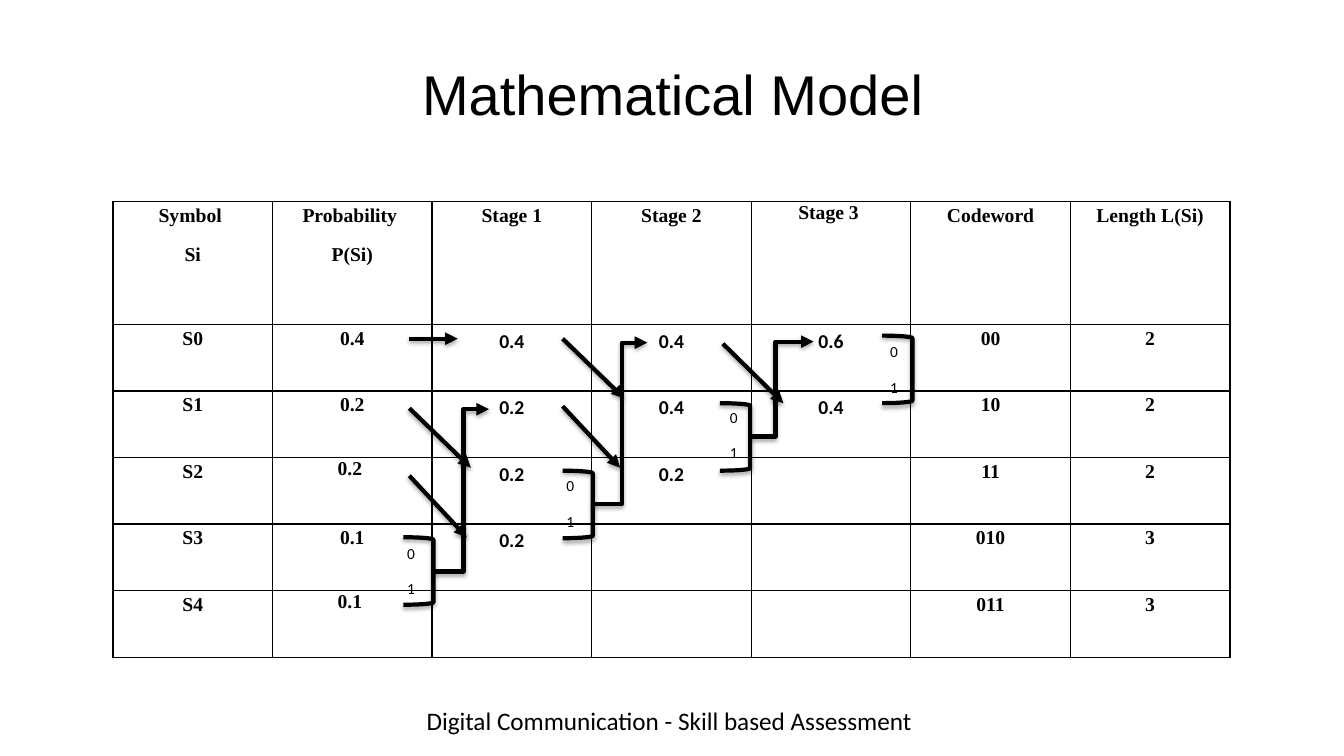
from dataclasses import dataclass
from lxml.etree import SubElement
from pptx import Presentation
from pptx.dml.color import RGBColor
from pptx.enum.shapes import MSO_CONNECTOR, MSO_SHAPE
from pptx.enum.text import MSO_ANCHOR, PP_ALIGN
from pptx.oxml import parse_xml
from pptx.oxml.ns import nsdecls, qn
from pptx.util import Inches, Pt

COLORS = {"ink": "000000"}
INK = RGBColor.from_string(COLORS["ink"])
SERIF = "Times New Roman"


@dataclass
class Label:
    text: str
    left: float
    top: float
    width: float
    height: float
    size: int
    font: str = "Calibri"
    align: PP_ALIGN = PP_ALIGN.CENTER
    anchor: MSO_ANCHOR = MSO_ANCHOR.TOP
    space: float = 1.0
    after: int = 0


@dataclass
class Merge:
    """Bracket with the place of its bit labels."""
    left: float
    top: float
    bit_left: float
    bit_top: float


@dataclass
class Arrow:
    x1: float
    y1: float
    x2: float
    y2: float
    bend: float | None = None


LABELS = [
    Label("Mathematical Model", 0.67, 0.3, 12, 1.25, 40, "Arial",
          anchor=MSO_ANCHOR.MIDDLE),
    Label("Digital Communication - Skill based Assessment ",
          3.82, 6.95, 5.69, 0.55, 18),
]
ROWS = [
    ["Symbol \nSi", "Probability \nP(Si)", "Stage 1", "Stage 2", "Stage 3 ",
     "Codeword", "Length L(Si)"],
    ["S0", "0.4", "0.4", "0.4", "0.6", "00", "2"],
    ["S1", "0.2", "0.2", "0.4", "0.4", "10", "2"],
    ["S2", "0.2 ", "0.2", "0.2", "", "11", "2"],
    ["S3", "0.1", "0.2", "", "", "010", "3"],
    ["S4", "0.1 ", "", "", "", "011", "3"],
]
MERGES = [
    Merge(4, 5.33, 3.94, 5.32),
    Merge(5.58, 4.67, 5.52, 4.65),
    Merge(7.14, 4, 7.14, 3.97),
    Merge(8.75, 3.33, 8.73, 3.32),
]
ARROWS = [
    Arrow(4.06, 3.36, 4.54, 3.36),
    Arrow(4.06, 4.72, 4.63, 5.33),
    Arrow(4.06, 4.05, 4.67, 4.64),
    Arrow(5.58, 4.03, 6.15, 4.64),
    Arrow(5.58, 3.36, 6.19, 3.95),
    Arrow(7.17, 3.41, 7.77, 4),
    Arrow(4.3, 5.67, 4.85, 4.06, 0.54),
    Arrow(5.87, 5, 6.42, 3.4, 0.54),
    Arrow(7.45, 4.33, 8.07, 3.39, 0.39),
]


def style(para, size: int, font: str, align: PP_ALIGN, bold: bool = False) -> None:
    para.alignment = align
    para.font.size = Pt(size)
    para.font.name = font
    para.font.bold = bold
    para.font.color.rgb = INK


def add_label(slide, item: Label) -> None:
    box = slide.shapes.add_textbox(Inches(item.left), Inches(item.top),
                                   Inches(item.width), Inches(item.height))
    frame = box.text_frame
    frame.word_wrap = True
    frame.vertical_anchor = item.anchor
    para = frame.paragraphs[0]
    para.text = item.text
    para.line_spacing = item.space
    para.space_after = Pt(item.after)
    style(para, item.size, item.font, item.align)


def add_borders(cell) -> None:
    props = cell._tc.get_or_add_tcPr()
    for spot, side in enumerate("LRTB"):
        props.insert(spot, parse_xml(
            f'<a:ln{side} {nsdecls("a")} w="12700"><a:solidFill>'
            f'<a:srgbClr val="{COLORS["ink"]}"/></a:solidFill></a:ln{side}>'))


def fill_cell(cell, text: str, stage: bool) -> None:
    cell.fill.background()
    add_borders(cell)
    cell.text = text
    if not stage:
        cell.margin_left = cell.margin_right = Inches(0.07)
        cell.margin_top = cell.margin_bottom = 0
    for para in cell.text_frame.paragraphs:
        style(para, 14, "Calibri" if stage else SERIF, PP_ALIGN.CENTER, True)
        if not stage and not text.endswith(" "):
            para.line_spacing = 1.15
            para.space_after = Pt(10)


def add_grid(slide) -> None:
    table = slide.shapes.add_table(len(ROWS), len(ROWS[0]), Inches(1.12), Inches(2),
                                   Inches(11.08), Inches(4.5)).table
    table.first_row = table.horz_banding = False
    for r, texts in enumerate(ROWS):
        table.rows[r].height = Inches(0.66 if r else 1.22)
        for c, text in enumerate(texts):
            fill_cell(table.cell(r, c), text, r > 0 and 2 <= c <= 4)


def add_stroke(shape) -> None:
    """Thick line with a soft shadow below."""
    shape.line.color.rgb = INK
    shape.line.width = Pt(3)
    props = shape._element.spPr
    effects = props.find(qn("a:effectLst"))
    if effects is None:
        effects = SubElement(props, qn("a:effectLst"))
    effects.append(parse_xml(
        f'<a:outerShdw {nsdecls("a")} blurRad="39370" dist="22860" dir="5400000" '
        f'rotWithShape="0"><a:srgbClr val="{COLORS["ink"]}">'
        '<a:alpha val="35000"/></a:srgbClr></a:outerShdw>'))


def add_merge(slide, item: Merge) -> None:
    shape = slide.shapes.add_shape(MSO_SHAPE.RIGHT_BRACKET, Inches(item.left),
                                   Inches(item.top), Inches(0.3), Inches(0.67))
    shape.shadow.inherit = False
    shape.fill.background()
    add_stroke(shape)


def add_bits(slide, item: Merge) -> None:
    for bit in range(2):
        add_label(slide, Label(str(bit), item.bit_left, item.bit_top + 0.35 * bit,
                               0.24, 0.28, 11, align=PP_ALIGN.LEFT,
                               space=1.15, after=10))


def add_arrow(slide, item: Arrow) -> None:
    kind = MSO_CONNECTOR.STRAIGHT if item.bend is None else MSO_CONNECTOR.ELBOW
    line = slide.shapes.add_connector(kind, Inches(item.x1), Inches(item.y1),
                                      Inches(item.x2), Inches(item.y2))
    add_stroke(line)
    SubElement(line.line._get_or_add_ln(), qn("a:tailEnd"), type="triangle")
    if item.bend is not None:
        guides = line._element.spPr.find(qn("a:prstGeom")).get_or_add_avLst()
        SubElement(guides, qn("a:gd"), name="adj1",
                   fmla=f"val {round(item.bend * 100000)}")


def main() -> None:
    deck = Presentation()
    deck.slide_width, deck.slide_height = Inches(13.33), Inches(7.5)
    slide = deck.slides.add_slide(deck.slide_layouts[6])
    # Title, footer and code table
    for label in LABELS:
        add_label(slide, label)
    add_grid(slide)
    # Brackets, arrows and bits
    for merge in MERGES:
        add_merge(slide, merge)
    for arrow in ARROWS:
        add_arrow(slide, arrow)
    for merge in MERGES:
        add_bits(slide, merge)
    deck.save("out.pptx")


if __name__ == "__main__":
    main()
